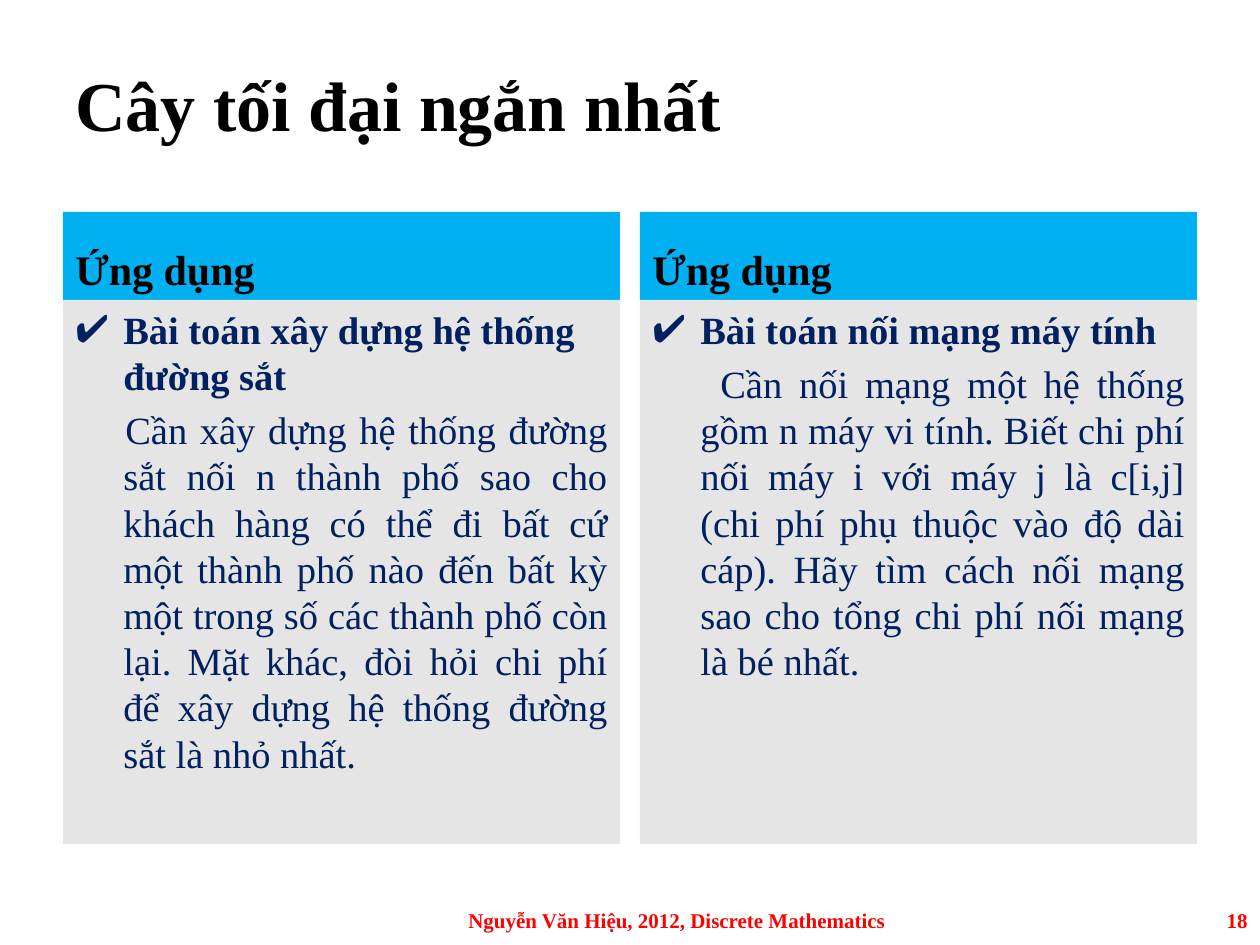
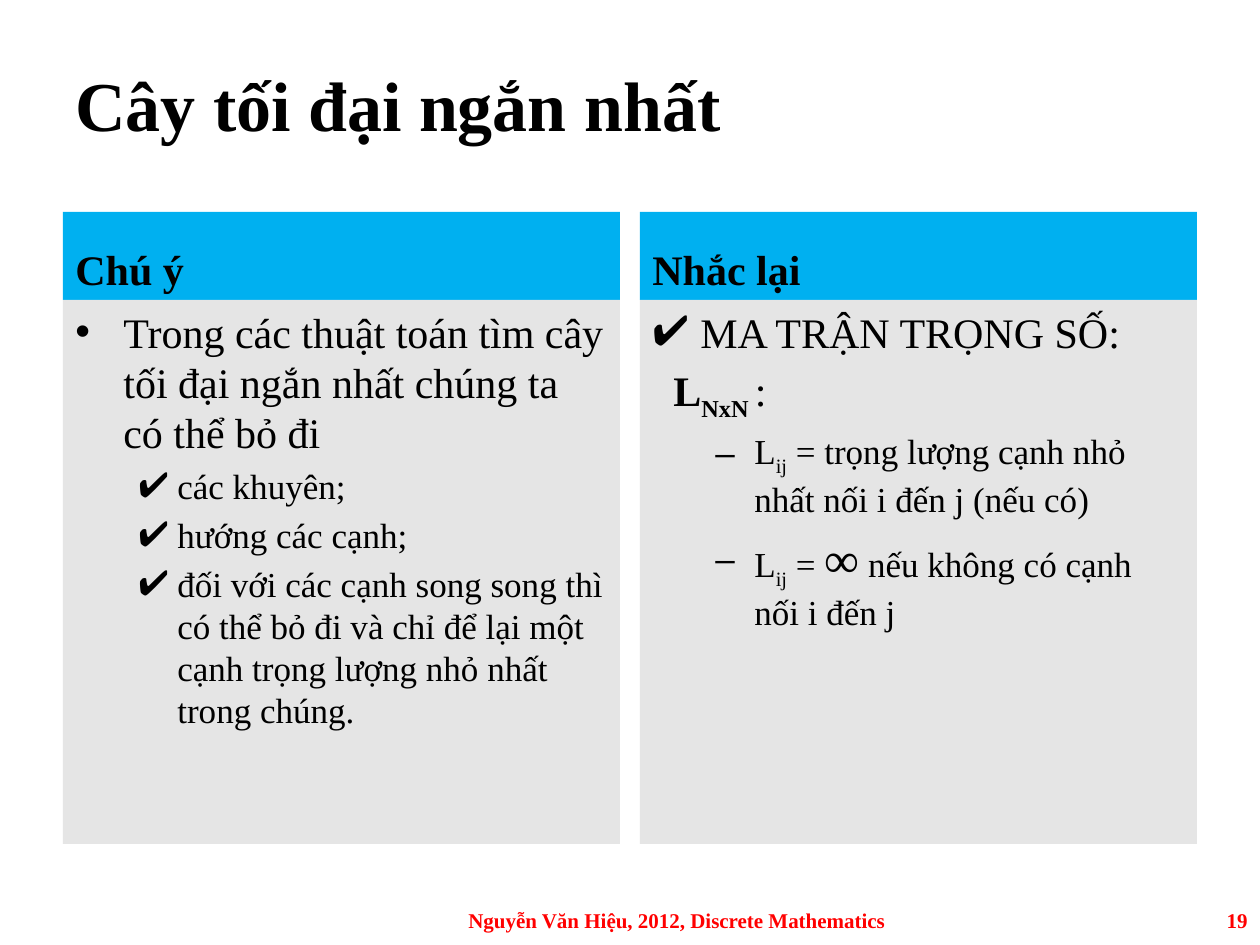
import pptx
import pptx.dml.color
import pptx.enum.shapes
import pptx.enum.text
import pptx.oxml.ns
import pptx.util
from dataclasses import dataclass
from lxml import etree

ALIGN = pptx.enum.text.PP_ALIGN
ANCHOR = pptx.enum.text.MSO_ANCHOR

# Content: each paragraph is (style, runs), each run is (text, run kind)
TITLE = "Cây tối đại ngắn nhất"
FOOTER = "Nguyễn Văn Hiệu, 2012, Discrete Mathematics"
LESSONS = [
    (18, [
        ("Ứng dụng", [
            ("problem", [("Bài toán xây dựng hệ thống đường sắt", "plain")]),
            ("railway story", [(
                "Cần xây dựng hệ thống đường sắt nối n thành phố sao cho khách hàng "
                "có thể đi bất cứ một thành phố nào đến bất kỳ một trong số các thành "
                "phố còn lại. Mặt khác, đòi hỏi chi phí để xây dựng hệ thống đường "
                "sắt là nhỏ nhất.", "plain")]),
        ]),
        ("Ứng dụng", [
            ("problem", [("Bài toán nối mạng máy tính", "plain")]),
            ("network story", [(
                "Cần nối mạng một hệ thống gồm n máy vi tính. Biết chi phí nối máy i "
                "với máy j là c[i,j] (chi phí phụ thuộc vào độ dài cáp). Hãy tìm cách "
                "nối mạng sao cho tổng chi phí nối mạng là bé nhất.", "plain")]),
        ]),
    ]),
    (19, [
        ("Chú ý", [
            ("note", [("Trong các thuật toán tìm cây tối đại ngắn nhất chúng ta "
                       "có thể bỏ đi", "plain")]),
            ("removed", [("các khuyên;", "plain")]),
            ("removed", [("hướng các cạnh;", "plain")]),
            ("removed", [("đối với các cạnh song song thì có thể bỏ đi và chỉ để lại "
                          "một cạnh trọng lượng nhỏ nhất trong chúng.", "plain")]),
        ]),
        ("Nhắc lại", [
            ("recall", [("MA TRẬN TRỌNG SỐ:", "plain")]),
            ("matrix", [("L", "strong"), ("NxN ", "strong sub"), (":", "plain")]),
            ("weight", [("L", "plain"), ("ij", "sub"),
                        (" = trọng lượng cạnh nhỏ nhất nối i đến j (nếu có)", "plain")]),
            ("no edge", [("L", "plain"), ("ij", "sub"), (" = ", "plain"),
                         ("∞", "large"), (" nếu không có cạnh nối i đến j", "plain")]),
        ]),
    ]),
]


@dataclass(frozen=True)
class Theme:
    font: str = "Times New Roman"
    ink: str = "000000"
    navy: str = "002060"
    band: str = "00B0F0"
    panel: str = "E5E5E5"
    footer: str = "FF0000"
    title_size: int = 40
    heading_size: int = 24
    story_size: int = 22
    item_size: int = 20
    infinity_size: int = 28
    footer_size: int = 12


THEME = Theme()

# Paragraph styles; margin and indent are px, before is points
BASE = dict(size=THEME.heading_size, color=THEME.ink, bold=False, align=ALIGN.LEFT,
            margin=0, indent=0, before=0, level=0, bullet=None)
HEADING = BASE | dict(bold=True)
NOTE = BASE | dict(margin=48, indent=-48, bullet="•")
ITEM = BASE | dict(size=THEME.item_size, margin=102, indent=-39, before=4, level=1)
PROBLEM = NOTE | dict(size=THEME.story_size, color=THEME.navy, bold=True, bullet="✔")
STORY = PROBLEM | dict(bold=False, align=ALIGN.JUSTIFY, before=4.4, bullet=None)
FOOT = HEADING | dict(size=THEME.footer_size, color=THEME.footer)
STYLES = {
    "title": HEADING | dict(size=THEME.title_size),
    "heading": HEADING,
    "footer": FOOT | dict(align=ALIGN.CENTER),
    "number": FOOT | dict(align=ALIGN.RIGHT),
    "problem": PROBLEM,
    "railway story": STORY | dict(indent=2),
    "network story": STORY | dict(indent=20),
    "note": NOTE,
    "removed": ITEM | dict(bullet="✔"),
    "recall": NOTE | dict(bullet="✔"),
    "matrix": BASE | dict(indent=21, before=4.8),
    "weight": ITEM | dict(bullet="–"),
    "no edge": ITEM | dict(bullet="–", before=5.6),
}
RUN_KINDS = {
    "plain": {},
    "strong": dict(bold=True),
    "sub": dict(baseline=-25000),
    "strong sub": dict(bold=True, baseline=-25000),
    "large": dict(size=THEME.infinity_size),
}

# Layout in px
PX = 914400 / 126
SLIDE_W, SLIDE_H = 1260, 945
EDGE, GAP = 63, 20
COLUMN_W = (SLIDE_W - 2 * EDGE - GAP) // 2
BAND_TOP, BAND_H, PANEL_H = 212, 88, 544
TITLE_BOX = (EDGE, 38, SLIDE_W - 2 * EDGE, 130)
FOOTER_BOX = (420, 895, 514, 50)
NUMBER_BOX = (966, 895, 294, 50)


def emu(px):
    return round(px * PX)


def add_run(paragraph, text, look):
    run = paragraph.add_run()
    run.text = text
    font_values = dict(name=THEME.font, size=pptx.util.Pt(look["size"]), bold=look["bold"])
    for key, value in font_values.items():
        setattr(run.font, key, value)
    run.font.color.rgb = pptx.dml.color.RGBColor.from_string(look["color"])
    if "baseline" in look:
        run.font._element.set("baseline", str(look["baseline"]))


def add_bullet(properties, style):
    qn = pptx.oxml.ns.qn
    color = etree.SubElement(properties, qn("a:buClr"))
    etree.SubElement(color, qn("a:srgbClr"), val=style["color"])
    etree.SubElement(properties, qn("a:buFont"), typeface="Arial")
    etree.SubElement(properties, qn("a:buChar"), char=style["bullet"])


def write(shape, paragraphs, anchor):
    frame = shape.text_frame
    frame.word_wrap = True
    frame.vertical_anchor = anchor
    for index, (style_name, runs) in enumerate(paragraphs):
        style = STYLES[style_name]
        paragraph = frame.add_paragraph() if index else frame.paragraphs[0]
        values = dict(alignment=style["align"], level=style["level"],
                      space_before=pptx.util.Pt(style["before"]))
        for key, value in values.items():
            setattr(paragraph, key, value)
        properties = paragraph._p.get_or_add_pPr()
        properties.set("marL", str(emu(style["margin"])))
        properties.set("indent", str(emu(style["indent"])))
        if style["bullet"]:
            add_bullet(properties, style)
        for text, kind in runs:
            add_run(paragraph, text, style | RUN_KINDS[kind])


def add_label(slide, box, style_name, text):
    label = slide.shapes.add_textbox(*map(emu, box))
    write(label, [(style_name, [(text, "plain")])], ANCHOR.MIDDLE)


def add_block(slide, box, fill, paragraphs, anchor):
    block = slide.shapes.add_shape(pptx.enum.shapes.MSO_SHAPE.RECTANGLE, *map(emu, box))
    block.shadow.inherit = False
    block.fill.solid()
    block.fill.fore_color.rgb = pptx.dml.color.RGBColor.from_string(fill)
    block.line.fill.background()
    write(block, paragraphs, anchor)


def add_lesson(deck, number, columns):
    slide = deck.slides.add_slide(deck.slide_layouts[6])
    add_label(slide, TITLE_BOX, "title", TITLE)
    # Two columns, each a heading band over a panel
    for index, (heading, paragraphs) in enumerate(columns):
        left = EDGE + index * (COLUMN_W + GAP)
        add_block(slide, (left, BAND_TOP, COLUMN_W, BAND_H), THEME.band,
                  [("heading", [(heading, "plain")])], ANCHOR.BOTTOM)
        add_block(slide, (left, BAND_TOP + BAND_H, COLUMN_W, PANEL_H), THEME.panel,
                  paragraphs, ANCHOR.TOP)
    # Footer
    add_label(slide, FOOTER_BOX, "footer", FOOTER)
    add_label(slide, NUMBER_BOX, "number", str(number))


def main():
    deck = pptx.Presentation()
    deck.slide_width, deck.slide_height = emu(SLIDE_W), emu(SLIDE_H)
    for number, columns in LESSONS:
        add_lesson(deck, number, columns)
    deck.save("out.pptx")


if __name__ == "__main__":
    main()
